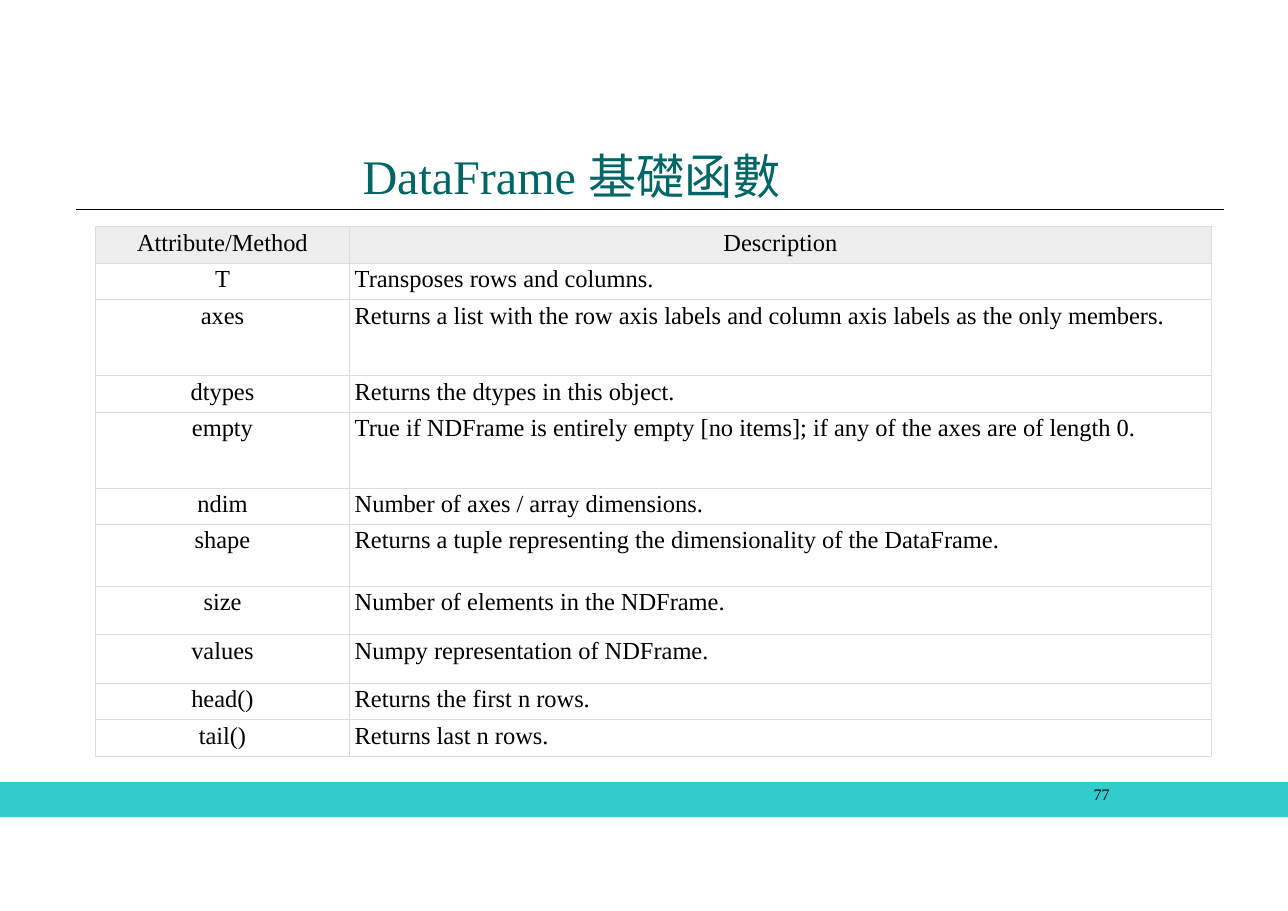
from dataclasses import dataclass

from lxml.etree import SubElement
from pptx import Presentation
from pptx.dml.color import RGBColor
from pptx.enum.shapes import MSO_CONNECTOR, MSO_SHAPE
from pptx.enum.text import PP_ALIGN
from pptx.oxml import parse_xml
from pptx.oxml.ns import nsdecls, qn
from pptx.slide import Slide
from pptx.table import _Cell
from pptx.text.text import TextFrame
from pptx.util import Cm, Pt

FONT = "Times New Roman"
BLACK = RGBColor(0x00, 0x00, 0x00)
TEAL = RGBColor(0x00, 0x66, 0x66)
AQUA = RGBColor(0x33, 0xCC, 0xCC)
GREY = RGBColor(0xED, 0xED, 0xED)
EDGE = RGBColor(0xDD, 0xDD, 0xDD)

WIDE, HIGH = 29.7, 21.0
COLS = (5.84, 19.89)


@dataclass
class Row:
    name: str
    text: str
    high: float = 0.84


@dataclass
class Label:
    text: str
    left: float
    top: float
    width: float
    height: float
    size: float
    color: RGBColor
    indent: float
    line: float | None = None


ROWS = [
    Row("Attribute/Method", "Description"),
    Row("T", "Transposes rows and columns."),
    Row("axes", "Returns a list with the row axis labels and column axis labels "
        "as the only members.", 1.75),
    Row("dtypes", "Returns the dtypes in this object."),
    Row("empty", "True if NDFrame is entirely empty [no items]; if any of the axes "
        "are of length 0.", 1.75),
    Row("ndim", "Number of axes / array dimensions."),
    Row("shape", "Returns a tuple representing the dimensionality of the DataFrame.", 1.42),
    Row("size", "Number of elements in the NDFrame.", 1.12),
    Row("values", "Numpy representation of NDFrame.", 1.12),
    Row("head()", "Returns the first n rows."),
    Row("tail()", "Returns last n rows."),
]

LABELS = [
    Label("DataFrame 基礎函數", 8.33, 3.33, 13.06, 1.37, 31.5, TEAL, 0.03),
    Label("77", 25.12, 18.08, 0.51, 0.91, 10.5, BLACK, 0.1, 12.5),
]


def write(frame: TextFrame, text: str, size: float, color: RGBColor) -> None:
    frame.text = text
    font = frame.paragraphs[0].runs[0].font
    font.name, font.size = FONT, Pt(size)
    font.color.rgb = color


def add_label(slide: Slide, item: Label) -> None:
    box = slide.shapes.add_textbox(
        Cm(item.left), Cm(item.top), Cm(item.width), Cm(item.height))
    frame = box.text_frame
    frame.word_wrap = True
    frame.margin_left, frame.margin_top = Cm(item.indent), Cm(0.05)
    frame.margin_right = frame.margin_bottom = 0
    write(frame, item.text, item.size, item.color)
    if item.line:
        frame.margin_top = 0
        frame.paragraphs[0].line_spacing = Pt(item.line)


def add_edges(cell: _Cell) -> None:
    """Draw a thin line on all four sides of a cell."""
    props = cell._tc.get_or_add_tcPr()
    for spot, side in enumerate("LRTB"):
        props.insert(spot, parse_xml(
            f'<a:ln{side} {nsdecls("a")} w="{Pt(0.75)}"><a:solidFill>'
            f'<a:srgbClr val="{EDGE}"/></a:solidFill></a:ln{side}>'))


def fill_cell(cell: _Cell, text: str, head: bool, center: bool) -> None:
    cell.margin_left = 0 if center else Cm(0.13)
    cell.margin_right = cell.margin_bottom = 0
    cell.margin_top = Cm(0.06)
    write(cell.text_frame, text, 16, BLACK)
    cell.text_frame.paragraphs[0].alignment = PP_ALIGN.CENTER if center else PP_ALIGN.LEFT
    if head:
        cell.fill.solid()
        cell.fill.fore_color.rgb = GREY
    else:
        cell.fill.background()
    add_edges(cell)


def add_grid(slide: Slide) -> None:
    high = sum(row.high for row in ROWS)
    table = slide.shapes.add_table(
        len(ROWS), len(COLS), Cm(2.21), Cm(5.23), Cm(sum(COLS)), Cm(high)).table
    table.first_row = table.horz_banding = False
    for col, width in zip(table.columns, COLS):
        col.width = Cm(width)
    for r, row in enumerate(ROWS):
        table.rows[r].height = Cm(row.high)
        head = r == 0
        fill_cell(table.cell(r, 0), row.name, head, True)
        fill_cell(table.cell(r, 1), row.text, head, head)


def add_frame(slide: Slide) -> None:
    """Draw the bottom band and the rule under the title."""
    band = slide.shapes.add_shape(
        MSO_SHAPE.RECTANGLE, 0, Cm(18.03), Cm(WIDE), Cm(0.81))
    band.shadow.inherit = False
    band.fill.solid()
    band.fill.fore_color.rgb = AQUA
    band.line.fill.background()
    rule = slide.shapes.add_connector(
        MSO_CONNECTOR.STRAIGHT, Cm(1.75), Cm(4.83), Cm(28.22), Cm(4.83))
    rule.line.color.rgb = BLACK
    rule.line.width = Pt(0.75)
    SubElement(rule._element.spPr, qn("a:effectLst"))


def main() -> None:
    deck = Presentation()
    deck.slide_width, deck.slide_height = Cm(WIDE), Cm(HIGH)
    slide = deck.slides.add_slide(deck.slide_layouts[6])
    add_frame(slide)
    for item in LABELS:
        add_label(slide, item)
    add_grid(slide)
    deck.save("out.pptx")


if __name__ == "__main__":
    main()
